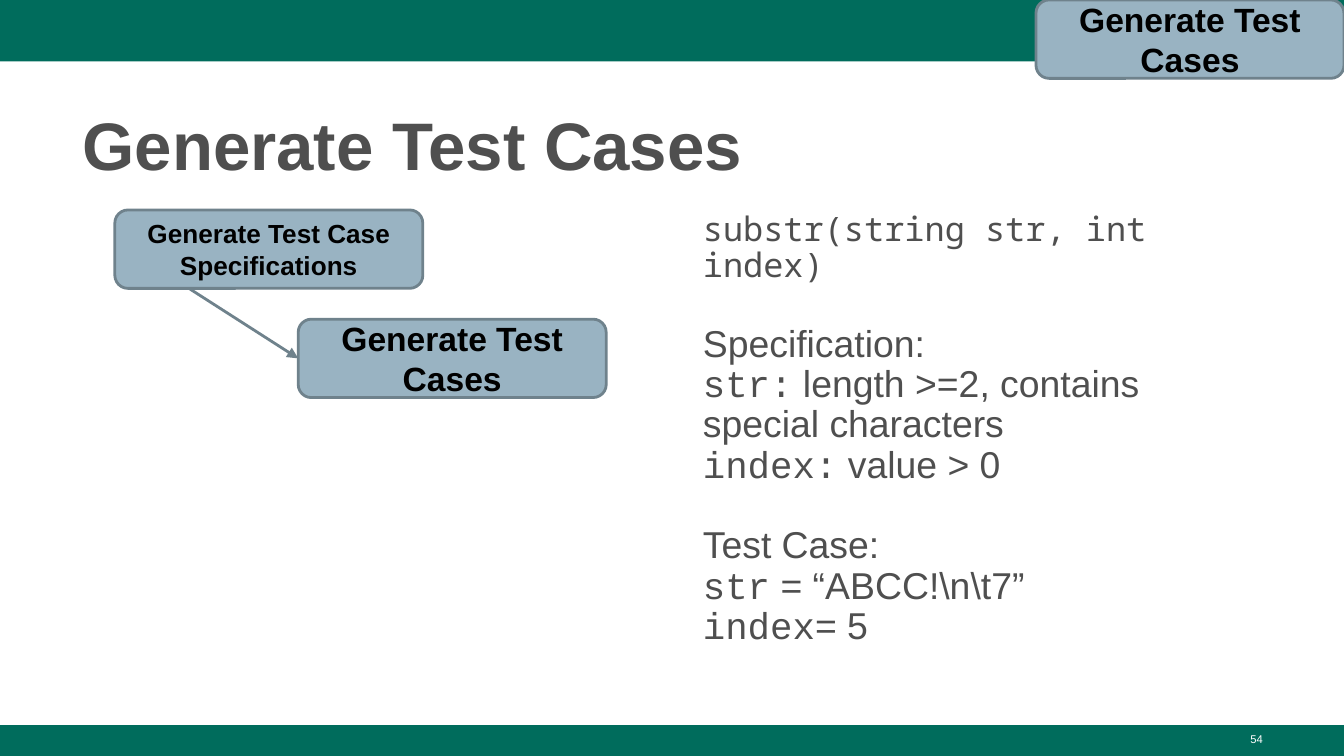
from typing import NamedTuple

from lxml.etree import SubElement
from pptx import Presentation
from pptx.dml.color import RGBColor
from pptx.enum.shapes import MSO_CONNECTOR as Connector, MSO_SHAPE as Preset
from pptx.enum.text import MSO_ANCHOR as Anchor, PP_ALIGN as Align
from pptx.oxml.ns import qn
from pptx.util import Emu, Pt

PX = 9525
GREEN, BLUE, SLATE = "006C5C", "99B3C2", "6F828C"
GREY, BLACK, WHITE = "4F4F4F", "000000", "FFFFFF"
SANS, CODE, MONO = "Arial", "Courier New", "Noto Sans Mono"
STEP_WIDTH, STEP_HEIGHT = 220, 56


class Run(NamedTuple):
    text: str
    font: str = SANS
    size: int = 20


class Line(NamedTuple):
    runs: list[Run]
    gap_before: float = 0


class Step(NamedTuple):
    text: str
    left: int
    top: int
    size: int = 18


STEPS = [
    Step("Generate Test Case Specifications", 82, 150, 14),
    Step("Generate Test Cases", 213, 228),
    Step("Generate Test Cases", 740, 0),
]
EXAMPLE = [
    Line([Run("substr(string str, int index)", MONO, 18)]),
    Line([Run("Specification:")], 21.6),
    Line([Run("str:", CODE), Run(" length >=2, contains special characters")]),
    Line([Run("index:", CODE), Run(" value > 0")]),
    Line([Run("Test Case:")], 21.6),
    Line([Run("str", CODE), Run(" = “ABCC!\\n\\t7”")]),
    Line([Run("index", CODE), Run("= 5")]),
]


def px(length: int) -> Emu:
    """Turn pixels into EMU."""
    return Emu(length * PX)


def color(value: str) -> RGBColor:
    """Turn a hex string into a colour."""
    return RGBColor.from_string(value)


def add_run(paragraph, text: str, *, font=SANS, size=18, fill=GREY, bold=False) -> None:
    """Append a formatted run to a paragraph."""
    run = paragraph.add_run()
    run.text = text
    run.font.name, run.font.size, run.font.bold = font, Pt(size), bold
    run.font.color.rgb = color(fill)


def set_frame(frame, *, vertical=5, anchor=Anchor.TOP) -> None:
    """Set wrapping, insets and anchor of a text frame."""
    frame.word_wrap = True
    frame.vertical_anchor = anchor
    frame.margin_left = frame.margin_right = px(10)
    frame.margin_top = frame.margin_bottom = px(vertical)


def add_text(slide, left: int, top: int, width: int, height: int, text: str, *,
             align=Align.LEFT, spacing=1.0, **style) -> None:
    """Add a text box with one formatted paragraph."""
    frame = slide.shapes.add_textbox(px(left), px(top), px(width), px(height)).text_frame
    set_frame(frame)
    paragraph = frame.paragraphs[0]
    paragraph.alignment, paragraph.line_spacing = align, spacing
    add_run(paragraph, text, **style)


def add_bar(slide, top: int, height: int) -> None:
    """Add a green band across the slide."""
    bar = slide.shapes.add_shape(Preset.RECTANGLE, 0, px(top), px(960), px(height))
    bar.shadow.inherit = False
    bar.fill.solid()
    bar.fill.fore_color.rgb = color(GREEN)
    bar.line.fill.background()


def add_step(slide, step: Step):
    """Add a rounded process box."""
    shape = slide.shapes.add_shape(Preset.ROUNDED_RECTANGLE, px(step.left), px(step.top),
                                   px(STEP_WIDTH), px(STEP_HEIGHT))
    shape.shadow.inherit = False
    shape.fill.solid()
    shape.fill.fore_color.rgb = color(BLUE)
    shape.line.color.rgb, shape.line.width = color(SLATE), Pt(1.5)
    set_frame(shape.text_frame, vertical=10, anchor=Anchor.MIDDLE)
    paragraph = shape.text_frame.paragraphs[0]
    paragraph.alignment = Align.CENTER
    add_run(paragraph, step.text, size=step.size, fill=BLACK, bold=True)
    return shape


def add_arrow(slide, left: int, top: int, target) -> None:
    """Add an arrow from a point to the left side of a box."""
    arrow = slide.shapes.add_connector(Connector.STRAIGHT, px(left), px(top), target.left, target.top)
    arrow.end_connect(target, 1)
    arrow.line.color.rgb, arrow.line.width = color(SLATE), Pt(1.5)
    SubElement(arrow.line._get_or_add_ln(), qn("a:tailEnd"), type="triangle")
    SubElement(arrow._element.spPr, qn("a:effectLst"))


def add_example(slide, lines: list[Line]) -> None:
    """Add the worked example with its specification and test case."""
    frame = slide.shapes.add_textbox(px(492), px(126), px(420), px(362)).text_frame
    set_frame(frame, vertical=10, anchor=Anchor.MIDDLE)
    for index, line in enumerate(lines):
        paragraph = frame.add_paragraph() if index else frame.paragraphs[0]
        paragraph.line_spacing = 0.9
        paragraph.space_before = Pt(line.gap_before)
        for run in line.runs:
            add_run(paragraph, run.text, font=run.font, size=run.size)


def main() -> None:
    """Build and save the slide."""
    presentation = Presentation()
    presentation.slide_width, presentation.slide_height = px(960), px(540)
    slide = presentation.slides.add_slide(presentation.slide_layouts[6])
    add_bar(slide, 0, 44)
    add_bar(slide, 518, 22)
    add_text(slide, 49, 64, 863, 70, "Generate Test Cases", spacing=1.08, size=36, bold=True)
    boxes = [add_step(slide, step) for step in STEPS]
    add_arrow(slide, 135, boxes[0].top + boxes[0].height - px(0) and 206, boxes[1])
    add_example(slide, EXAMPLE)
    add_text(slide, 688, 518, 224, 22, "54", align=Align.RIGHT, size=6, fill=WHITE)
    presentation.save("out.pptx")


if __name__ == "__main__":
    main()
